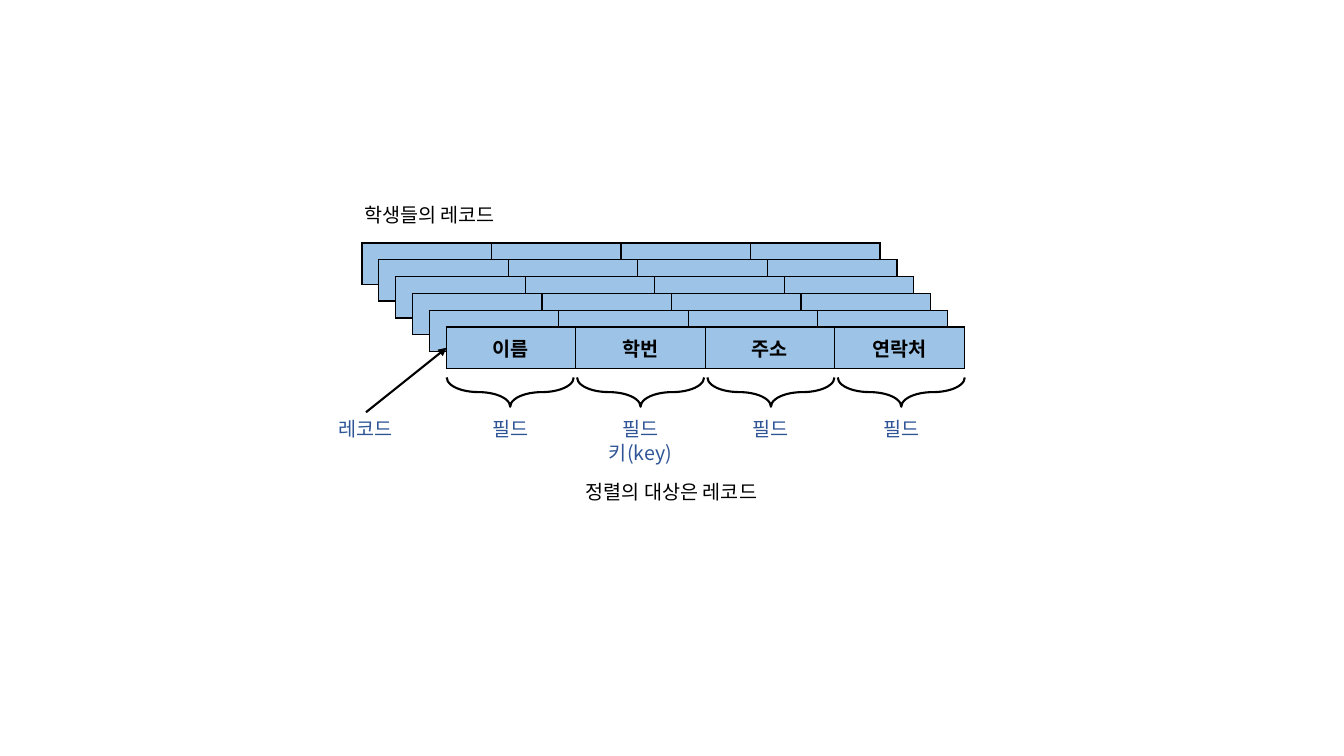
"""Build a slide showing student records, their fields and the key."""
from lxml.etree import SubElement
from pptx import Presentation
from pptx.dml.color import RGBColor
from pptx.enum.shapes import MSO_CONNECTOR, MSO_SHAPE
from pptx.enum.text import MSO_ANCHOR, PP_ALIGN
from pptx.oxml.ns import qn
from pptx.util import Inches, Pt

FONT = "Noto Sans CJK KR"
BLACK = RGBColor(0x00, 0x00, 0x00)
NAVY = RGBColor(0x2F, 0x55, 0x97)
SKY = RGBColor(0x9D, 0xC3, 0xE6)


def write(frame, text, color, bold=False):
    """Fill a text frame with centred text, one paragraph a line."""
    frame.text = text
    for para in frame.paragraphs:
        para.alignment = PP_ALIGN.CENTER
        font = para.font
        font.name, font.size, font.bold = FONT, Pt(14), bold
        font.color.rgb = color
        SubElement(para._p.pPr.find(qn("a:defRPr")), qn("a:ea"), typeface=FONT)


def label(left, top, width, text, color):
    """Add a wrapped, centred label."""
    lines = text.count("\n") + 1
    box = slide.shapes.add_textbox(
        Inches(left), Inches(top), Inches(width), Inches(0.11 + 0.23 * lines))
    box.text_frame.word_wrap = True
    write(box.text_frame, text, color)


deck = Presentation()
deck.slide_width, deck.slide_height = Inches(13.33), Inches(7.5)
slide = deck.slides.add_slide(deck.slide_layouts[6])

names = ["이름", "학번", "주소", "연락처"]
count = 6
step = 0.167
for row in range(count):
    frame = slide.shapes.add_table(
        1, len(names), Inches(3.59 + row * step), Inches(2.41 + row * step),
        Inches(5.14), Inches(0.41))
    front = row == count - 1
    for cell, name in zip(frame.table.iter_cells(), names):
        cell.vertical_anchor = MSO_ANCHOR.MIDDLE
        write(cell.text_frame, name if front else "", BLACK, True)
        props = cell._tc.get_or_add_tcPr()
        for side in ("lnL", "lnR", "lnT", "lnB"):
            edge = SubElement(props, qn(f"a:{side}"), w=str(Pt(1)))
            fill = SubElement(edge, qn("a:solidFill"))
            SubElement(fill, qn("a:srgbClr"), val=str(BLACK))
        cell.fill.solid()
        cell.fill.fore_color.rgb = SKY

fields = ["필드", "필드\n키(key)", "필드", "필드"]
for col, field in enumerate(fields):
    left = 4.43 + col * 1.293
    brace = slide.shapes.add_shape(
        MSO_SHAPE.RIGHT_BRACE, Inches(left + 0.485), Inches(3.26),
        Inches(0.29), Inches(1.26))
    brace.rotation = 90
    brace.adjustments[0] = 1.1
    brace.shadow.inherit = False
    brace.fill.background()
    brace.line.color.rgb = BLACK
    brace.line.width = Pt(1.5)
    label(left, 4.09, 1.26, field, NAVY)

label(3, 4.09, 1.26, "레코드", NAVY)
label(2.55, 1.96, 3.42, "학생들의 레코드", BLACK)
label(3.03, 4.71, 7.26, "정렬의 대상은 레코드", BLACK)

arrow = slide.shapes.add_connector(
    MSO_CONNECTOR.STRAIGHT, Inches(3.63), Inches(4.09), Inches(4.43), Inches(3.45))
arrow.line.color.rgb = BLACK
arrow.line.width = Pt(1.5)
SubElement(arrow.line._get_or_add_ln(), qn("a:tailEnd"), type="triangle")
SubElement(arrow._element.spPr, qn("a:effectLst"))

deck.save("out.pptx")
